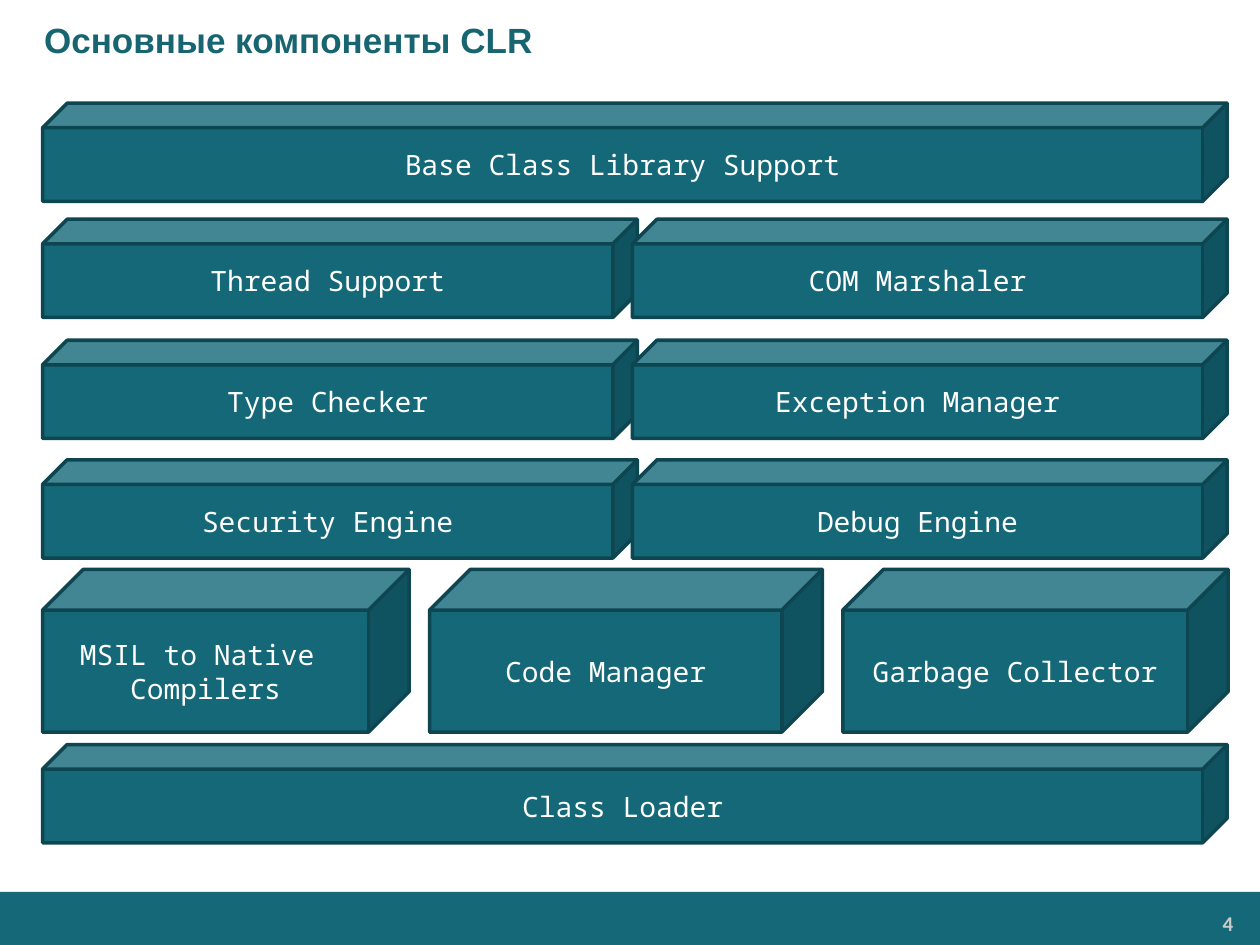
from dataclasses import dataclass

from pptx import Presentation
from pptx.dml.color import RGBColor
from pptx.enum.shapes import MSO_SHAPE
from pptx.enum.text import MSO_ANCHOR, PP_ALIGN
from pptx.util import Cm, Pt

CUBE, RECTANGLE = MSO_SHAPE.CUBE, MSO_SHAPE.RECTANGLE
MIDDLE, TOP = MSO_ANCHOR.MIDDLE, MSO_ANCHOR.TOP
LEFT, CENTER, RIGHT = PP_ALIGN.LEFT, PP_ALIGN.CENTER, PP_ALIGN.RIGHT

COLORS = {
    "teal": "146878",
    "edge": "0D4650",
    "title": "176571",
    "label": "FFFFFF",
    "number": "CCCCCC",
}
MARGIN_LEFT = 0.86


@dataclass(frozen=True)
class Block:
    label: str
    width: float


@dataclass(frozen=True)
class Layer:
    """A row of blocks; measures in centimetres, a negative gap overlaps them."""
    top: float
    height: float
    gap: float
    blocks: tuple[Block, ...]


def full_layer(top: float, label: str) -> Layer:
    return Layer(top, 1.98, 0, (Block(label, 23.88),))


def paired_layer(top: float, *labels: str) -> Layer:
    return Layer(top, 1.98, -0.1, tuple(Block(label, 11.99) for label in labels))


LAYERS = (
    full_layer(2.08, "Base Class Library Support"),
    paired_layer(4.42, "Thread Support", "COM Marshaler"),
    paired_layer(6.86, "Type Checker", "Exception Manager"),
    paired_layer(9.27, "Security Engine", "Debug Engine"),
    Layer(11.48, 3.28, 0.41, (
        Block("MSIL to Native \nCompilers", 7.39),
        Block("Code Manager", 7.92),
        Block("Garbage Collector", 7.77),
    )),
    full_layer(15.01, "Class Loader"),
)


def rgb(name: str) -> RGBColor:
    return RGBColor.from_string(COLORS[name])


def write_text(shape, text: str, *, font: str, size: float, color: str,
               bold: bool = False, align=LEFT, anchor=MIDDLE,
               inset_x: float = 0.13, inset_y: float = 0.13) -> None:
    frame = shape.text_frame
    frame.word_wrap = True
    frame.vertical_anchor = anchor
    frame.margin_left = frame.margin_right = Cm(inset_x)
    frame.margin_top = frame.margin_bottom = Cm(inset_y)
    frame.text = text
    for paragraph in frame.paragraphs:
        paragraph.alignment = align
        for run in paragraph.runs:
            run.font.name = font
            run.font.size = Pt(size)
            run.font.bold = bold
            run.font.color.rgb = rgb(color)


def add_solid(slide, preset, left: float, top: float, width: float, height: float):
    shape = slide.shapes.add_shape(preset, Cm(left), Cm(top), Cm(width), Cm(height))
    shape.shadow.inherit = False
    shape.fill.solid()
    shape.fill.fore_color.rgb = rgb("teal")
    return shape


def draw_layer(slide, layer: Layer) -> None:
    left = MARGIN_LEFT
    for block in layer.blocks:
        cube = add_solid(slide, CUBE, left, layer.top, block.width, layer.height)
        cube.line.color.rgb = rgb("edge")
        cube.line.width = Pt(2)
        write_text(cube, block.label, font="Noto Sans Mono", size=16,
                   color="label", align=CENTER)
        left += block.width + layer.gap


def main() -> None:
    presentation = Presentation()
    presentation.slide_width, presentation.slide_height = Cm(25.4), Cm(19.05)
    slide = presentation.slides.add_slide(presentation.slide_layouts[6])

    footer_band = add_solid(slide, RECTANGLE, 0, 17.98, 25.43, 1.09)
    footer_band.line.fill.background()

    page_number = slide.shapes.add_textbox(Cm(20.9), Cm(18.26), Cm(4.14), Cm(0.71))
    write_text(page_number, "4", font="Calibri", size=12, color="number", bold=True,
               align=RIGHT, anchor=TOP, inset_x=0.18, inset_y=0.1)

    title = slide.shapes.add_textbox(Cm(0), Cm(0), Cm(25.4), Cm(1.6))
    write_text(title, "Основные компоненты CLR", font="Arial", size=20,
               color="title", bold=True, inset_x=0.89)

    for layer in LAYERS:
        draw_layer(slide, layer)

    presentation.save("out.pptx")


if __name__ == "__main__":
    main()
